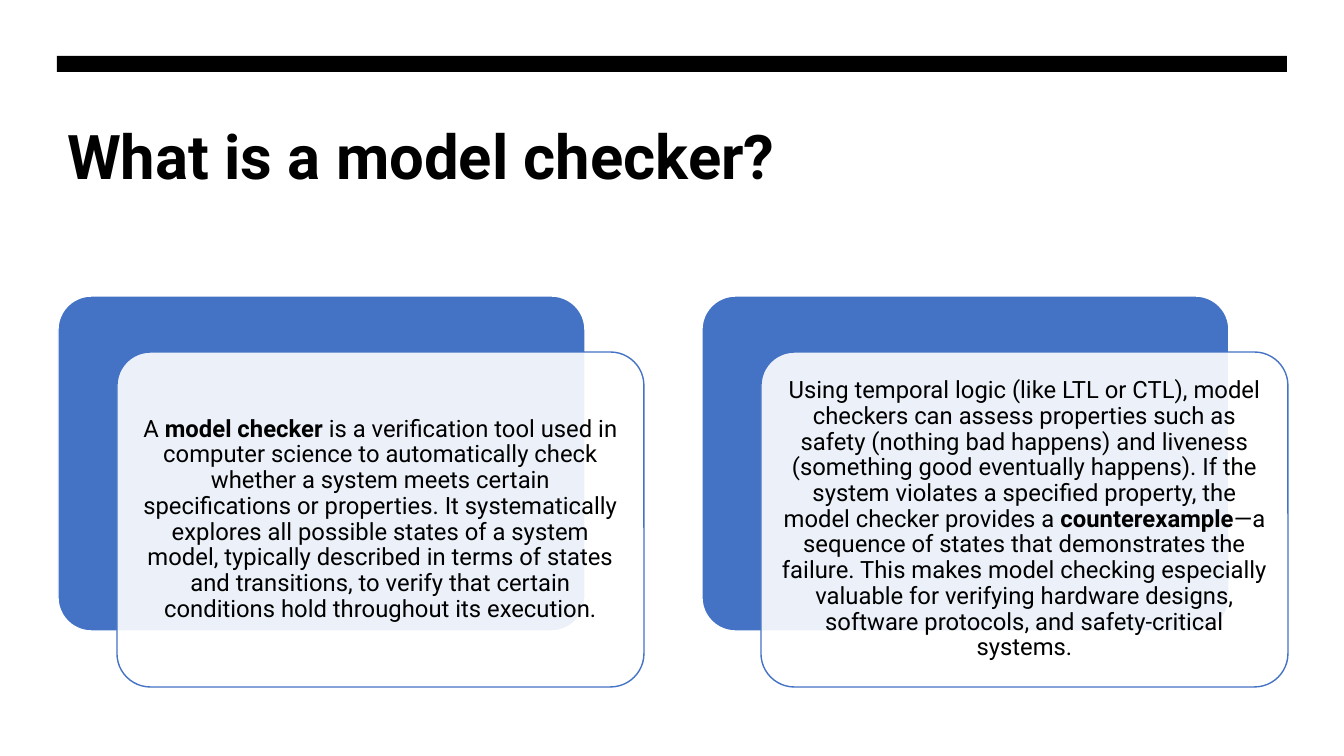
"""Build the slide that explains what a model checker is."""
from lxml.etree import SubElement
from pptx import Presentation
from pptx.dml.color import RGBColor
from pptx.enum.shapes import MSO_SHAPE
from pptx.enum.text import MSO_ANCHOR, MSO_AUTO_SIZE, PP_ALIGN
from pptx.oxml.ns import qn
from pptx.util import Emu, Pt

BLACK = RGBColor(0x00, 0x00, 0x00)
WHITE = RGBColor(0xFF, 0xFF, 0xFF)
BLUE = RGBColor(0x44, 0x72, 0xC4)
EMU_PER_PX = 914400 / 100.8
CARD_LEFT, CARD_TOP, CARD_PITCH = 58, 296, 644
CARD_WIDTH, CARD_HEIGHT = 527, 335
CARD_OFFSET_X, CARD_OFFSET_Y, TEXT_INSET = 59, 56, 10

CARDS = [
    (
        ("A ", False),
        ("model checker", True),
        (" is a verification tool used in computer science to automatically "
         "check whether a system meets certain specifications or properties. "
         "It systematically explores all possible states of a system model, "
         "typically described in terms of states and transitions, to verify "
         "that certain conditions hold throughout its execution.", False),
    ),
    (
        ("Using temporal logic (like LTL or CTL), model checkers can assess "
         "properties such as safety (nothing bad happens) and liveness "
         "(something good eventually happens). If the system violates a "
         "specified property, the model checker provides a ", False),
        ("counterexample", True),
        ("—a sequence of states that demonstrates the failure. This makes "
         "model checking especially valuable for verifying hardware designs, "
         "software protocols, and safety-critical systems.", False),
    ),
]


def px(length):
    """Turn pixels into EMU."""
    return Emu(round(length * EMU_PER_PX))


def set_attributes(target, values):
    """Set each attribute of the target from a dict of values."""
    for name, value in values.items():
        setattr(target, name, value)


def format_font(font, size, bold):
    """Apply the slide's typeface and colour to a font."""
    set_attributes(font, {"name": "Roboto", "size": Pt(size), "bold": bold})
    font.color.rgb = BLACK


def add_block(shapes, kind, box, fill, line=None, opacity=None):
    """Add a filled preset shape with an optional outline and opacity."""
    shape = shapes.add_shape(kind, *map(px, box))
    shape.shadow.inherit = False
    shape.fill.solid()
    shape.fill.fore_color.rgb = fill
    if line is None:
        shape.line.fill.background()
    else:
        shape.line.color.rgb = line
        shape.line.width = Pt(1)
    if opacity is not None:
        color = shape._element.spPr.find(qn("a:solidFill")).find(qn("a:srgbClr"))
        SubElement(color, qn("a:alpha")).set("val", str(opacity * 1000))
    return shape


def add_card_text(shapes, box, runs):
    """Add a centred text box made of plain and bold runs."""
    text_frame = shapes.add_textbox(*map(px, box)).text_frame
    margins = dict.fromkeys(
        ("margin_left", "margin_right", "margin_top", "margin_bottom"), px(7))
    set_attributes(text_frame, {
        "word_wrap": True, "vertical_anchor": MSO_ANCHOR.MIDDLE, **margins})
    paragraph = text_frame.paragraphs[0]
    set_attributes(paragraph, {
        "alignment": PP_ALIGN.CENTER, "line_spacing": 0.9})
    for text, bold in runs:
        run = paragraph.add_run()
        run.text = text
        format_font(run.font, 17, bold)


def add_card(shapes, left, runs):
    """Add a blue panel, the translucent panel over it and its text."""
    front_left, front_top = left + CARD_OFFSET_X, CARD_TOP + CARD_OFFSET_Y
    panels = (
        (left, CARD_TOP, BLUE, WHITE, None),
        (front_left, front_top, WHITE, BLUE, 90),
    )
    for panel_left, panel_top, fill, line, opacity in panels:
        box = (panel_left, panel_top, CARD_WIDTH, CARD_HEIGHT)
        panel = add_block(
            shapes, MSO_SHAPE.ROUNDED_RECTANGLE, box, fill, line, opacity)
        panel.adjustments[0] = 0.1
    add_card_text(shapes, (
        front_left + TEXT_INSET, front_top + TEXT_INSET,
        CARD_WIDTH - 2 * TEXT_INSET, CARD_HEIGHT - 2 * TEXT_INSET), runs)


def add_title(slide, text):
    """Place and format the title placeholder."""
    title = slide.shapes.title
    set_attributes(title, {
        "left": px(57), "top": px(108), "width": px(1230), "height": px(161)})
    text_frame = title.text_frame
    text_frame.text = text
    set_attributes(text_frame, {
        "word_wrap": True, "auto_size": MSO_AUTO_SIZE.NONE,
        "vertical_anchor": MSO_ANCHOR.TOP, "margin_top": px(10)})
    paragraph = text_frame.paragraphs[0]
    paragraph.alignment = PP_ALIGN.LEFT
    format_font(paragraph.runs[0].font, 44, True)


def main():
    """Build and save the presentation."""
    presentation = Presentation()
    set_attributes(presentation, {
        "slide_width": px(1344), "slide_height": px(756)})
    slide = presentation.slides.add_slide(presentation.slide_layouts[5])
    slide.background.fill.solid()
    slide.background.fill.fore_color.rgb = WHITE
    add_title(slide, "What is a model checker?")
    add_block(slide.shapes, MSO_SHAPE.RECTANGLE, (57, 56, 1230, 16), BLACK)
    group = slide.shapes.add_group_shape()
    for index, runs in enumerate(CARDS):
        add_card(group.shapes, CARD_LEFT + index * CARD_PITCH, runs)
    presentation.save("out.pptx")


if __name__ == "__main__":
    main()
